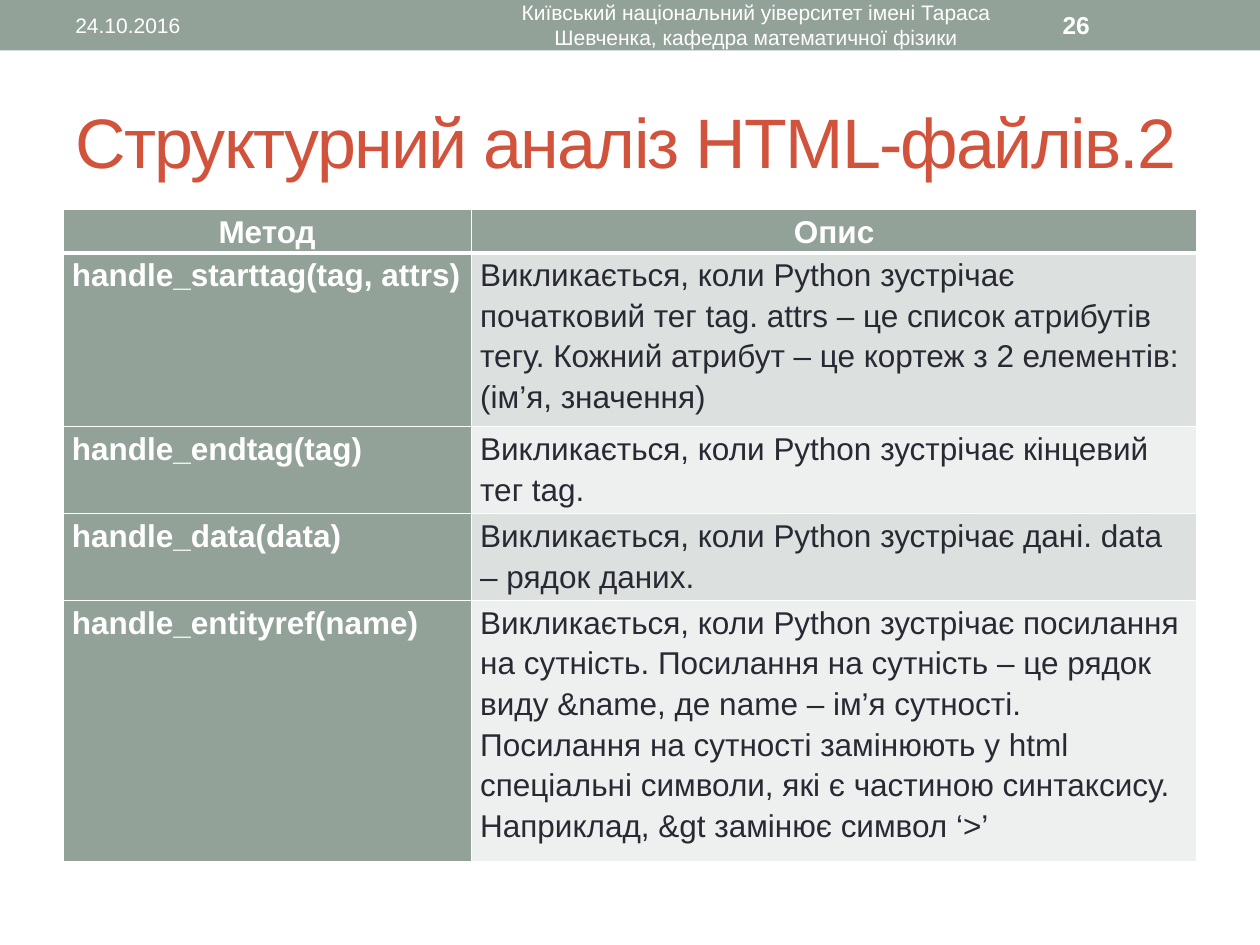
from dataclasses import dataclass

from lxml.etree import SubElement
from pptx import Presentation
from pptx.dml.color import RGBColor
from pptx.enum.shapes import MSO_SHAPE
from pptx.enum.text import MSO_ANCHOR, MSO_AUTO_SIZE, PP_ALIGN
from pptx.oxml.ns import qn
from pptx.util import Cm, Pt

SAGE, RUST, INK, WHITE = "93A299", "D2533C", "292934", "FFFFFF"
BANDS = ("DCE0DE", "EEF0EF")
LINE_HEIGHT = 0.82


@dataclass
class Style:
    size: float
    color: str = WHITE
    bold: bool = False
    align: PP_ALIGN = PP_ALIGN.LEFT
    line_spacing: float = 1.0


@dataclass
class Label:
    text: str
    left: float
    width: float
    style: Style


@dataclass
class Method:
    name: str
    description: str
    lines: int


LABELS = [
    Label("24.10.2016", 1.27, 8.05, Style(12)),
    Label("Київський національний уіверситет імені Тараса Шевченка, "
          "кафедра математичної фізики", 9.53, 11.43,
          Style(12, align=PP_ALIGN.CENTER)),
    Label("26", 21.17, 2.96, Style(14, bold=True)),
]

METHODS = [
    Method("handle_starttag(tag, attrs)",
           "Викликається, коли Python зустрічає початковий тег tag. attrs – це "
           "список атрибутів тегу. Кожний атрибут – це кортеж з 2 елементів: "
           "(ім’я, значення)", 4),
    Method("handle_endtag(tag)",
           "Викликається, коли Python зустрічає кінцевий тег tag.", 2),
    Method("handle_data(data)",
           "Викликається, коли Python зустрічає дані. data – рядок даних.", 2),
    Method("handle_entityref(name)",
           "Викликається, коли Python зустрічає посилання на сутність. Посилання "
           "на сутність – це рядок виду &name, де name – ім’я сутності. Посилання "
           "на сутності замінюють у html спеціальні символи, які є частиною "
           "синтаксису. Наприклад, &gt замінює символ ‘>’", 6),
]


def rgb(color: str) -> RGBColor:
    return RGBColor.from_string(color)


def set_attrs(obj, values: dict) -> None:
    for name, value in values.items():
        setattr(obj, name, value)


def write(tf, text: str, style: Style):
    p = tf.paragraphs[0]
    set_attrs(p, {"alignment": style.align, "line_spacing": style.line_spacing})
    r = p.add_run()
    r.text = text
    set_attrs(r.font, {"name": "Arial", "size": Pt(style.size), "bold": style.bold})
    r.font.color.rgb = rgb(style.color)
    return r


def add_title(s, text: str) -> None:
    sp = s.shapes.title
    set_attrs(sp, {"left": Cm(1.27), "top": Cm(1.47),
                   "width": Cm(22.86), "height": Cm(2.74)})
    set_attrs(sp.text_frame, {"word_wrap": True, "auto_size": MSO_AUTO_SIZE.NONE,
                              "vertical_anchor": MSO_ANCHOR.MIDDLE})
    r = write(sp.text_frame, text, Style(40, RUST))
    r.font._element.set("spc", "-100")


def add_header_band(s, width: int) -> None:
    sp = s.shapes.add_shape(MSO_SHAPE.RECTANGLE, 0, 0, width, Cm(1.02))
    sp.shadow.inherit = False
    sp.fill.solid()
    sp.fill.fore_color.rgb = rgb(SAGE)
    sp.line.fill.background()


def add_label(s, label: Label) -> None:
    sp = s.shapes.add_textbox(Cm(label.left), Cm(0.05), Cm(label.width), Cm(0.91))
    set_attrs(sp.text_frame, {"word_wrap": True, "vertical_anchor": MSO_ANCHOR.MIDDLE})
    write(sp.text_frame, label.text, label.style)


def set_borders(cell, widths: dict) -> None:
    tc_pr = cell._tc.get_or_add_tcPr()
    for side in ("L", "R", "T", "B"):
        ln = SubElement(tc_pr, qn(f"a:ln{side}"), w=str(Pt(widths.get(side, 1))))
        fill = SubElement(ln, qn("a:solidFill"))
        SubElement(fill, qn("a:srgbClr"), val=WHITE)


def fill_cell(cell, text: str, style: Style, color: str, borders: dict) -> None:
    set_attrs(cell, {"margin_left": Cm(0.18), "margin_right": Cm(0.18),
                     "margin_top": 0, "margin_bottom": 0})
    set_borders(cell, borders)
    cell.fill.solid()
    cell.fill.fore_color.rgb = rgb(color)
    write(cell.text_frame, text, style)


def add_method_table(s, methods: list[Method]) -> None:
    lines = [1] + [m.lines for m in methods]
    tbl = s.shapes.add_table(len(lines), 2, Cm(1.27), Cm(4.22), Cm(22.86),
                             Cm(LINE_HEIGHT * sum(lines))).table
    for column, width in zip(tbl.columns, (8.23, 14.63)):
        column.width = Cm(width)
    for row, count in zip(tbl.rows, lines):
        row.height = Cm(LINE_HEIGHT * count)

    heading = Style(18, bold=True, align=PP_ALIGN.CENTER, line_spacing=1.15)
    name = Style(18, bold=True, line_spacing=1.15)
    body = Style(18, INK, line_spacing=1.15)
    for col, text in enumerate(("Метод", "Опис")):
        fill_cell(tbl.cell(0, col), text, heading, SAGE, {"B": 3})
    for row, m in enumerate(methods, 1):
        top = {"T": 3} if row == 1 else {}
        fill_cell(tbl.cell(row, 0), m.name, name, SAGE, top)
        fill_cell(tbl.cell(row, 1), m.description, body, BANDS[(row - 1) % 2], top)


def main() -> None:
    prs = Presentation()
    set_attrs(prs, {"slide_width": Cm(25.4), "slide_height": Cm(19.05)})
    s = prs.slides.add_slide(prs.slide_layouts[5])
    add_header_band(s, prs.slide_width)
    add_title(s, "Структурний аналіз HTML-файлів.2")
    for label in LABELS:
        add_label(s, label)
    add_method_table(s, METHODS)
    prs.save("out.pptx")


if __name__ == "__main__":
    main()
